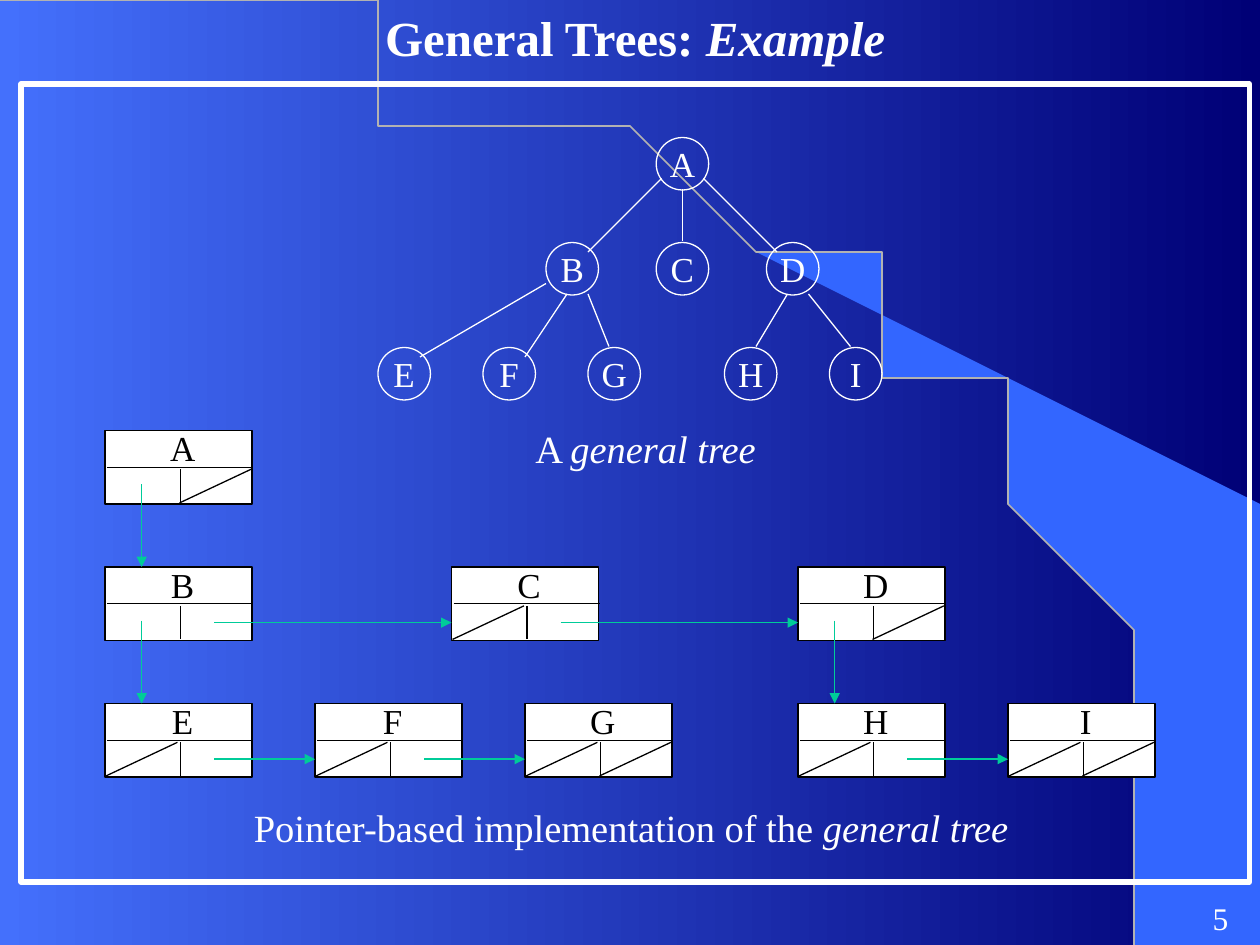
from typing import NamedTuple

from lxml import etree
from pptx import Presentation
from pptx.dml.color import RGBColor
from pptx.enum.shapes import MSO_CONNECTOR, MSO_SHAPE
from pptx.enum.text import MSO_ANCHOR, PP_ALIGN
from pptx.oxml.ns import qn
from pptx.util import Emu, Inches, Pt

RECT, OVAL = MSO_SHAPE.RECTANGLE, MSO_SHAPE.OVAL
LEFT, MID, RIGHT = PP_ALIGN.LEFT, PP_ALIGN.CENTER, PP_ALIGN.RIGHT
TOP, CENTRE = MSO_ANCHOR.TOP, MSO_ANCHOR.MIDDLE
STRAIGHT = MSO_CONNECTOR.STRAIGHT

FONT = "Times New Roman"
INK = {"white": "FFFFFF", "black": "000000", "green": "00CC99", "grey": "B2B2B2",
       "wedge": "3366FF", "light": "4470FC", "dark": "000076"}

# The grid has 120 columns and 90 rows, 12 to the inch
UNIT = Inches(1) // 12
COLS, ROWS = 120, 90
CELL_W, CELL_H = 14, 7
DISC = 5


class Cell(NamedTuple):
    name: str
    col: float
    row: float
    null: str = ""     # halves struck out: L, R or both
    down: float = 0    # row where the child pointer ends
    next: float = 0    # column where the sibling pointer ends


class Node(NamedTuple):
    name: str
    col: float
    row: float


class Edge(NamedTuple):
    x1: float
    y1: float
    x2: float
    y2: float


CELLS = [
    Cell("A", 10, 41, "R", down=54),
    Cell("B", 10, 54, down=67, next=43),
    Cell("C", 43, 54, "L", next=76),
    Cell("D", 76, 54, "R", down=67),
    Cell("E", 10, 67, "L", next=30),
    Cell("F", 30, 67, "L", next=50),
    Cell("G", 50, 67, "LR"),
    Cell("H", 76, 67, "L", next=96),
    Cell("I", 96, 67, "LR"),
]
NODES = [
    Node("A", 62.5, 13.1),
    Node("B", 52, 23.1), Node("C", 62.5, 23.1), Node("D", 73, 23.1),
    Node("E", 36, 33.1), Node("F", 46, 33.1), Node("G", 56, 33.1),
    Node("H", 69, 33.1), Node("I", 79, 33.1),
]
EDGES = [
    Edge(56, 24, 63, 17), Edge(65, 18, 65, 23), Edge(74, 24, 67, 17),
    Edge(40, 34, 52, 27), Edge(50, 34, 54, 28), Edge(58, 33, 56, 28),
    Edge(72, 33, 75, 28), Edge(81, 33, 77, 28),
]
# Wedge outline in inches
WEDGE = [(9.28, 7.5), (10, 7.5), (10, 4.24), (5.94, 1.76), (6.3, 2.02), (6.58, 2.25),
         (6.91, 2.53), (7.23, 2.83), (7.69, 3.34), (8.1, 3.89), (8.4, 4.36),
         (8.66, 4.85), (8.86, 5.34), (9.01, 5.79), (9.11, 6.17), (9.21, 6.64),
         (9.25, 7.05)]


def tint(name: str) -> RGBColor:
    return RGBColor.from_string(INK[name])


def grid(*vals: float) -> list[Emu]:
    return [Emu(round(v * UNIT)) for v in vals]


def style(shape, fill: str = "", line: str = "", width: float = 0.75) -> None:
    shape.shadow.inherit = False
    if fill:
        shape.fill.solid()
        shape.fill.fore_color.rgb = tint(fill)
    else:
        shape.fill.background()
    if line:
        shape.line.color.rgb = tint(line)
        shape.line.width = Pt(width)
    else:
        shape.line.fill.background()


def block(shapes, kind, x: float, y: float, w: float, h: float, **look) -> None:
    style(shapes.add_shape(kind, *grid(x, y, w, h)), **look)


def path(shapes, pts: list[tuple], close: bool, **look) -> None:
    pen = shapes.build_freeform(*pts[0], scale=Inches(1))
    pen.add_line_segments(pts[1:], close=close)
    style(pen.convert_to_shape(), **look)


def rule(shapes, edge: Edge, ink: str = "black", tip: bool = False) -> None:
    line = shapes.add_connector(STRAIGHT, *grid(*edge))
    line.line.color.rgb = tint(ink)
    line.line.width = Pt(0.75)
    if tip:
        etree.SubElement(line.line._get_or_add_ln(), qn("a:tailEnd"), type="triangle")
    etree.SubElement(line._element.spPr, qn("a:effectLst"))


def write(shapes, text: str, x: float, y: float, w: float, h: float, *, size: int,
          slant: str = "", ink: str = "white", bold: bool = False, align=MID,
          anchor=CENTRE, wrap: bool = False, pad: float = 0.1) -> None:
    frame = shapes.add_textbox(*grid(x, y, w, h)).text_frame
    frame.word_wrap = wrap
    frame.vertical_anchor = anchor
    frame.margin_left = frame.margin_right = Inches(pad)
    para = frame.paragraphs[0]
    para.alignment = align
    for part, lean in ((text, False), (slant, True)):
        if part:
            run = para.add_run()
            run.text = part
            font = run.font
            font.name, font.size, font.bold = FONT, Pt(size), bold
            font.italic = lean
            font.color.rgb = tint(ink)


def draw_cell(shapes, cell: Cell) -> None:
    x, y = cell.col, cell.row
    block(shapes, RECT, x, y, CELL_W, CELL_H, fill="white", line="black")
    write(shapes, cell.name, x + 5, y - 1, 4.8, 5.3, size=20, ink="black")
    rule(shapes, Edge(x + 0.2, y + 3.5, x + 14.1, y + 3.5))
    rule(shapes, Edge(x + 7.2, y + 3.7, x + 7.2, y + 6.9))
    for half in cell.null:
        left = x + (0.1 if half == "L" else 7.1)
        rule(shapes, Edge(left + 6.8, y + 3.7, left, y + 6.9))


def draw_links(shapes, cell: Cell) -> None:
    x, y = cell.col, cell.row
    if cell.down:
        rule(shapes, Edge(x + 3.5, y + 5.1, x + 3.5, cell.down), "green", True)
    if cell.next:
        rule(shapes, Edge(x + 10.4, y + 5.3, cell.next, y + 5.3), "green", True)


def draw_node(shapes, node: Node) -> None:
    write(shapes, node.name, node.col, node.row - 0.1, DISC, 5.3, size=20, anchor=TOP)
    block(shapes, OVAL, node.col, node.row, DISC, DISC, line="white")


def main() -> None:
    deck = Presentation()
    deck.slide_width, deck.slide_height = grid(COLS, ROWS)
    slide = deck.slides.add_slide(deck.slide_layouts[6])
    shapes = slide.shapes

    # Background: gradient, wedge and curve
    back = slide.background.fill
    back.gradient()
    back.gradient_angle = 0
    for stop, name in zip(back.gradient_stops, ("light", "dark")):
        stop.color.rgb = tint(name)
    path(shapes, WEDGE, True, fill="wedge")
    steps = [n / 60 for n in range(61)]
    curve = [(3 * 5.12 * t * (1 - t) ** 2 + 9.28 * (3 * t * t * (1 - t) + t ** 3),
              min(7.5, 3 * 3.39 * t * t * (1 - t) + 7.58 * t ** 3)) for t in steps]
    path(shapes, curve, False, line="grey", width=1)

    # Title and page number
    write(shapes, "General Trees: ", 3, 0, 115, 7, slant="Example", size=28, bold=True,
          wrap=True)
    write(shapes, "5", 92, 85, 25, 5, size=18, align=RIGHT, anchor=TOP, wrap=True, pad=0)

    # Linked cells
    for cell in CELLS:
        draw_cell(shapes, cell)
    for cell in CELLS:
        draw_links(shapes, cell)
    write(shapes, "Pointer-based implementation of the ", 23, 76, 74.4, 5.6,
          slant="general tree", size=22, align=LEFT)

    # Tree
    for node in NODES:
        draw_node(shapes, node)
    for edge in EDGES:
        rule(shapes, edge, "white")
    write(shapes, "A ", 49.8, 39.9, 23.8, 5.6, slant="general tree", size=22, align=LEFT)

    # Frame
    block(shapes, RECT, 2, 8, 117, 76, line="white", width=3)
    deck.save("out.pptx")


if __name__ == "__main__":
    main()
